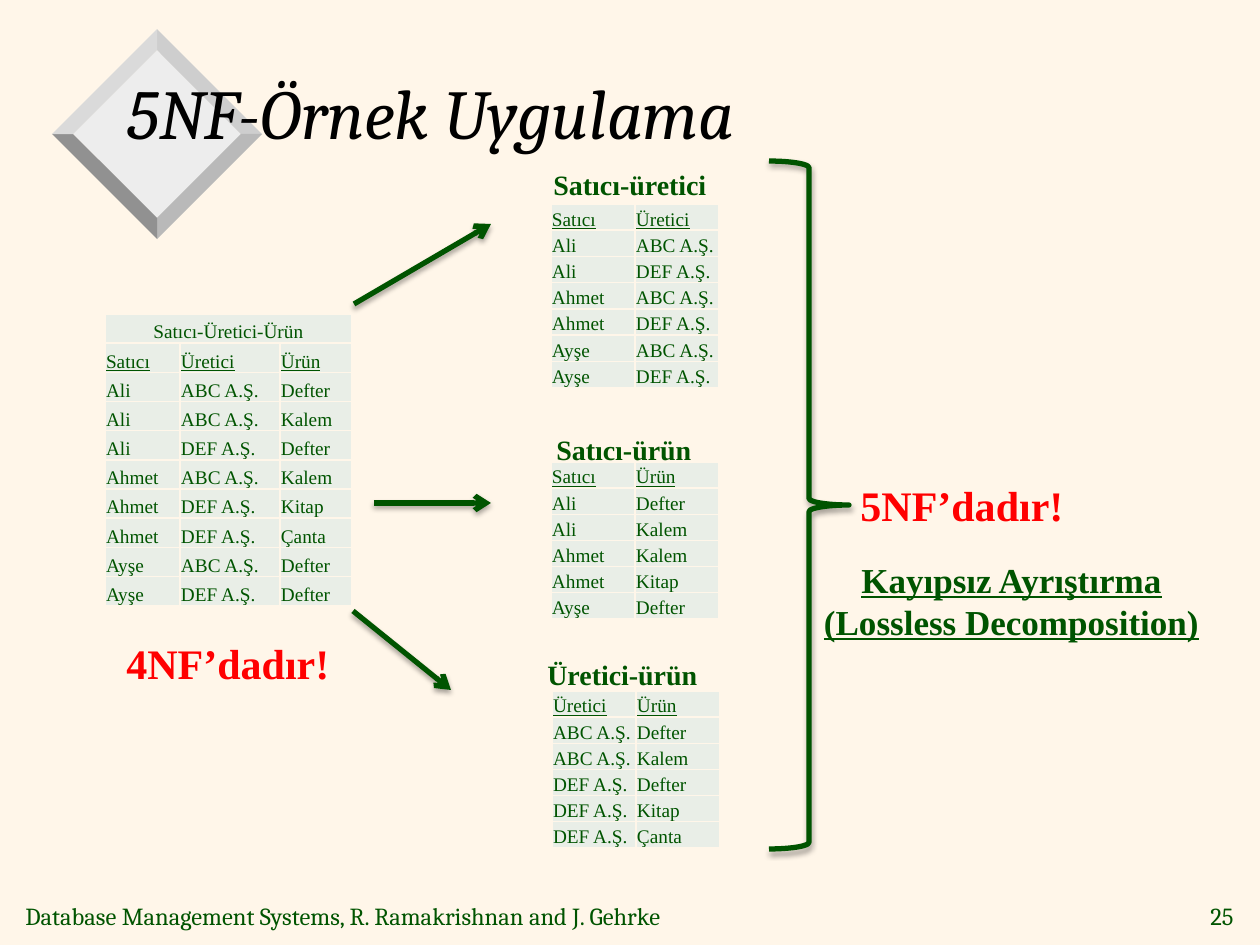
from dataclasses import dataclass

from lxml.etree import SubElement
from pptx import Presentation
from pptx.dml.color import RGBColor
from pptx.enum.shapes import MSO_CONNECTOR, MSO_SHAPE
from pptx.enum.text import MSO_ANCHOR, PP_ALIGN
from pptx.oxml.ns import qn
from pptx.util import Pt

PX = 914400 / 126
GREEN, RED, BLACK = "005400", "FF0000", "000000"
CREAM, CELL = "FFF6E9", "E9EEE7"
SERIF, HEADING = "Times New Roman", "Cambria"


@dataclass
class Label:
    text: str
    x: int
    y: int
    w: int
    h: int
    size: int
    color: str = GREEN
    font: str = SERIF
    bold: bool = True
    italic: bool = False
    underline: bool = False
    align: PP_ALIGN = PP_ALIGN.LEFT
    anchor: MSO_ANCHOR = MSO_ANCHOR.TOP


@dataclass
class Relation:
    x: int
    y: int
    h: int
    cols: list[int]
    header: str
    rows: list[str]
    title: str = ""


@dataclass
class Arrow:
    x1: int
    y1: int
    x2: int
    y2: int


@dataclass
class Facet:
    points: list[tuple[int, int]]
    color: str


def emu(px: float) -> int:
    return round(px * PX)


def rgb(color: str) -> RGBColor:
    return RGBColor.from_string(color)


def add_run(p, text: str, size: int, color: str, font: str = SERIF, bold: bool = False,
            italic: bool = False, underline: bool = False) -> None:
    r = p.add_run()
    r.text = text
    f = r.font
    f.size, f.name, f.bold, f.italic, f.underline = Pt(size), font, bold, italic, underline
    f.color.rgb = rgb(color)


def add_label(s, label: Label) -> None:
    sp = s.shapes.add_textbox(*map(emu, (label.x, label.y, label.w, label.h)))
    tf = sp.text_frame
    tf.word_wrap = False
    tf.vertical_anchor = label.anchor
    for i, line in enumerate(label.text.split("\n")):
        p = tf.add_paragraph() if i else tf.paragraphs[0]
        p.alignment = label.align
        add_run(p, line, label.size, label.color, label.font, label.bold, label.italic,
                label.underline)


def add_borders(cell) -> None:
    tc_pr = cell._tc.get_or_add_tcPr()
    for i, side in enumerate(("lnL", "lnR", "lnT", "lnB")):
        ln = SubElement(tc_pr, qn(f"a:{side}"), w=str(Pt(1)))
        fill = SubElement(ln, qn("a:solidFill"))
        SubElement(fill, qn("a:srgbClr"), val=CREAM)
        tc_pr.insert(i, ln)


def fill_cell(cell, text: str, underline: bool, align: PP_ALIGN) -> None:
    cell.margin_left = cell.margin_right = cell.margin_top = emu(1)
    cell.margin_bottom = 0
    cell.vertical_anchor = MSO_ANCHOR.BOTTOM
    cell.fill.solid()
    cell.fill.fore_color.rgb = rgb(CELL)
    add_borders(cell)
    if text:
        p = cell.text_frame.paragraphs[0]
        p.alignment = align
        add_run(p, text, 11, GREEN, underline=underline)


def add_relation(s, rel: Relation) -> None:
    """Draw a relation; a title becomes a first row merged across all columns."""
    blanks = [""] * (len(rel.cols) - 1)
    grid = [line.split("|") for line in [rel.header, *rel.rows]]
    if rel.title:
        grid.insert(0, [rel.title, *blanks])
    frame = s.shapes.add_table(len(grid), len(rel.cols), emu(rel.x), emu(rel.y),
                               emu(sum(rel.cols)), emu(rel.h))
    table = frame.table
    table.first_row = table.horz_banding = False
    for col, width in zip(table.columns, rel.cols):
        col.width = emu(width)
    header_row = 1 if rel.title else 0
    for i, values in enumerate(grid):
        table.rows[i].height = emu(rel.h / len(grid))
        align = PP_ALIGN.CENTER if i < header_row else PP_ALIGN.LEFT
        for j, value in enumerate(values):
            fill_cell(table.cell(i, j), value, i == header_row, align)
    if rel.title:
        table.cell(0, 0).merge(table.cell(0, len(rel.cols) - 1))


def style_stroke(sp) -> None:
    """Give a thick green line with a soft shadow below it."""
    sp.line.color.rgb = rgb(GREEN)
    sp.line.width = Pt(3)
    effects = SubElement(sp._element.spPr, qn("a:effectLst"))
    shadow = SubElement(effects, qn("a:outerShdw"), blurRad=str(Pt(3.1)), dist=str(Pt(1.8)),
                        dir="5400000", rotWithShape="0")
    color = SubElement(shadow, qn("a:srgbClr"), val=BLACK)
    SubElement(color, qn("a:alpha"), val="35000")


def add_arrow(s, arrow: Arrow) -> None:
    ends = map(emu, (arrow.x1, arrow.y1, arrow.x2, arrow.y2))
    sp = s.shapes.add_connector(MSO_CONNECTOR.STRAIGHT, *ends)
    style_stroke(sp)
    SubElement(sp.line._get_or_add_ln(), qn("a:tailEnd"), type="arrow")


def add_brace(s, x: int, y: int, w: int, h: int) -> None:
    sp = s.shapes.add_shape(MSO_SHAPE.RIGHT_BRACE, *map(emu, (x, y, w, h)))
    sp.fill.background()
    style_stroke(sp)


def add_facet(s, facet: Facet) -> None:
    start, *rest = facet.points
    builder = s.shapes.build_freeform(*start, scale=PX)
    builder.add_line_segments(rest, close=True)
    sp = builder.convert_to_shape()
    sp.shadow.inherit = False
    sp.fill.solid()
    sp.fill.fore_color.rgb = rgb(facet.color)
    sp.line.fill.background()


def diamond(cx: int, cy: int, radius: int) -> list[tuple[int, int]]:
    """Corners clockwise from the top."""
    return [(cx, cy - radius), (cx + radius, cy), (cx, cy + radius), (cx - radius, cy)]


def bevelled_diamond(cx: int, cy: int, outer_r: int, inner_r: int) -> list[Facet]:
    outer, inner = diamond(cx, cy, outer_r), diamond(cx, cy, inner_r)
    facets = [Facet(inner, "EDEDED")]
    for i, color in enumerate(("CECECE", "B9B9B9", "919191", "DADADA")):
        k = (i + 1) % 4
        facets.append(Facet([inner[i], outer[i], outer[k], inner[k]], color))
    return facets


RELATIONS = [
    Relation(105, 314, 292, [75, 100, 72], "Satıcı|Üretici|Ürün",
             ["Ali|ABC A.Ş.|Defter", "Ali|ABC A.Ş.|Kalem", "Ali|DEF A.Ş.|Defter",
              "Ahmet|ABC A.Ş.|Kalem", "Ahmet|DEF A.Ş.|Kitap", "Ahmet|DEF A.Ş.|Çanta",
              "Ayşe|ABC A.Ş.|Defter", "Ayşe|DEF A.Ş.|Defter"], "Satıcı-Üretici-Ürün"),
    Relation(551, 204, 184, [84, 84], "Satıcı|Üretici",
             [f"{seller}|{maker} A.Ş." for seller in ("Ali", "Ahmet", "Ayşe")
              for maker in ("ABC", "DEF")]),
    Relation(551, 462, 157, [84, 84], "Satıcı|Ürün",
             ["Ali|Defter", "Ali|Kalem", "Ahmet|Kalem", "Ahmet|Kitap", "Ayşe|Defter"]),
    Relation(552, 691, 157, [84, 84], "Üretici|Ürün",
             ["ABC A.Ş.|Defter", "ABC A.Ş.|Kalem", "DEF A.Ş.|Defter", "DEF A.Ş.|Kitap",
              "DEF A.Ş.|Çanta"]),
]
ARROWS = [Arrow(354, 304, 491, 224), Arrow(374, 503, 491, 503), Arrow(353, 611, 451, 690)]
LABELS = [
    Label("Database Management Systems, R. Ramakrishnan and J. Gehrke", 13, 895, 721, 42, 14,
          font=HEADING, bold=False, anchor=MSO_ANCHOR.MIDDLE),
    Label("25", 1191, 895, 55, 42, 14, font=HEADING, bold=False, align=PP_ALIGN.RIGHT,
          anchor=MSO_ANCHOR.MIDDLE),
    Label("5NF-Örnek Uygulama", 115, 58, 1071, 107, 40, BLACK, HEADING, bold=False, italic=True,
          anchor=MSO_ANCHOR.MIDDLE),
    Label("Satıcı-üretici", 541, 161, 181, 47, 16),
    Label("Satıcı-ürün", 544, 426, 163, 47, 16),
    Label("Üretici-ürün", 535, 651, 178, 47, 16),
    Label("4NF’dadır!", 114, 631, 231, 63, 24, RED),
    Label("5NF’dadır!", 848, 473, 231, 63, 24, RED),
    Label("Kayıpsız Ayrıştırma\n(Lossless Decomposition)", 810, 552, 403, 97, 20,
          underline=True, align=PP_ALIGN.CENTER),
]


def main() -> None:
    prs = Presentation()
    prs.slide_width, prs.slide_height = emu(1260), emu(945)
    s = prs.slides.add_slide(prs.slide_layouts[6])
    s.background.fill.solid()
    s.background.fill.fore_color.rgb = rgb(CREAM)
    for facet in bevelled_diamond(157, 134, 105, 84):
        add_facet(s, facet)
    for relation in RELATIONS:
        add_relation(s, relation)
    for arrow in ARROWS:
        add_arrow(s, arrow)
    add_brace(s, 769, 161, 80, 688)
    for label in LABELS:
        add_label(s, label)
    prs.save("out.pptx")


if __name__ == "__main__":
    main()
